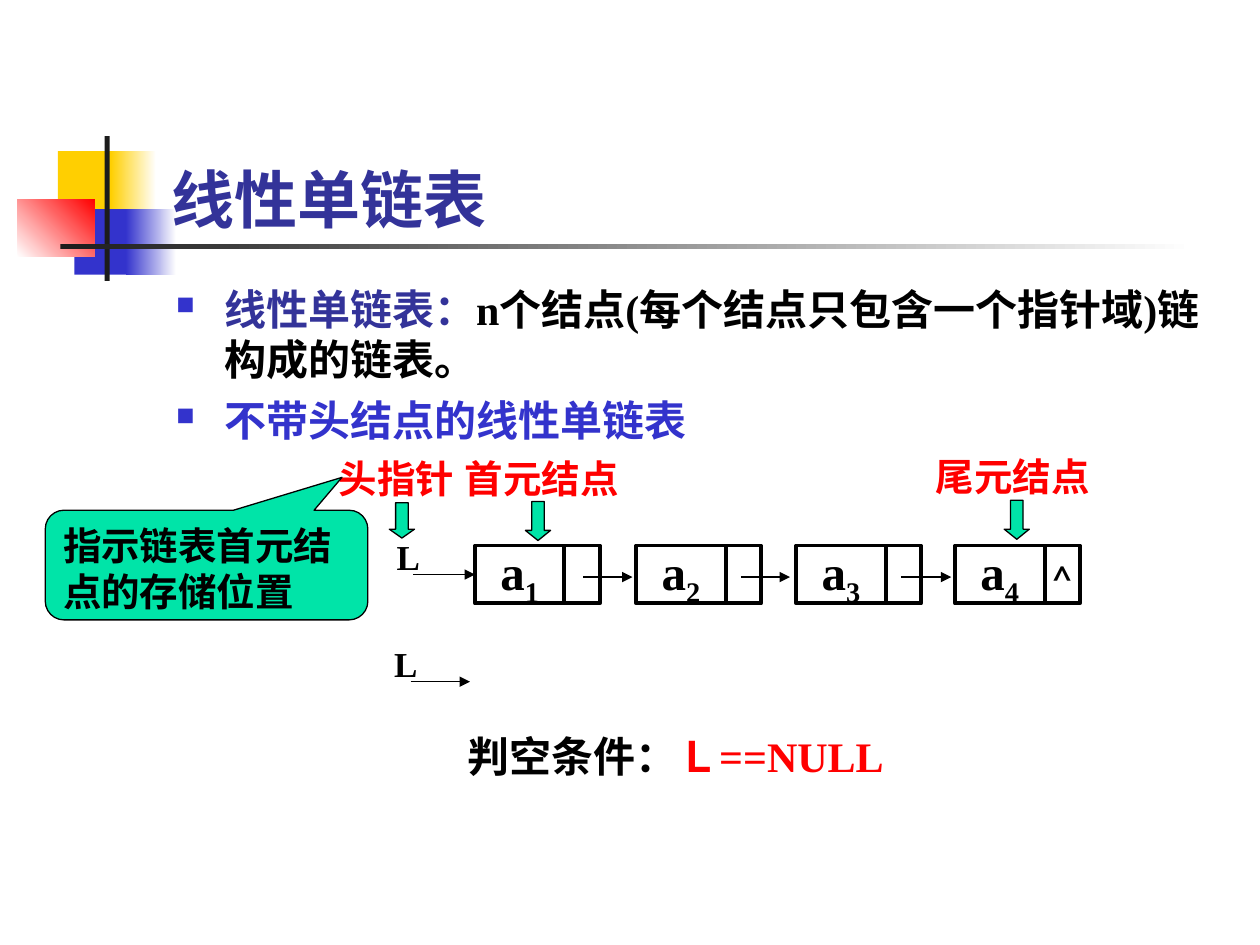
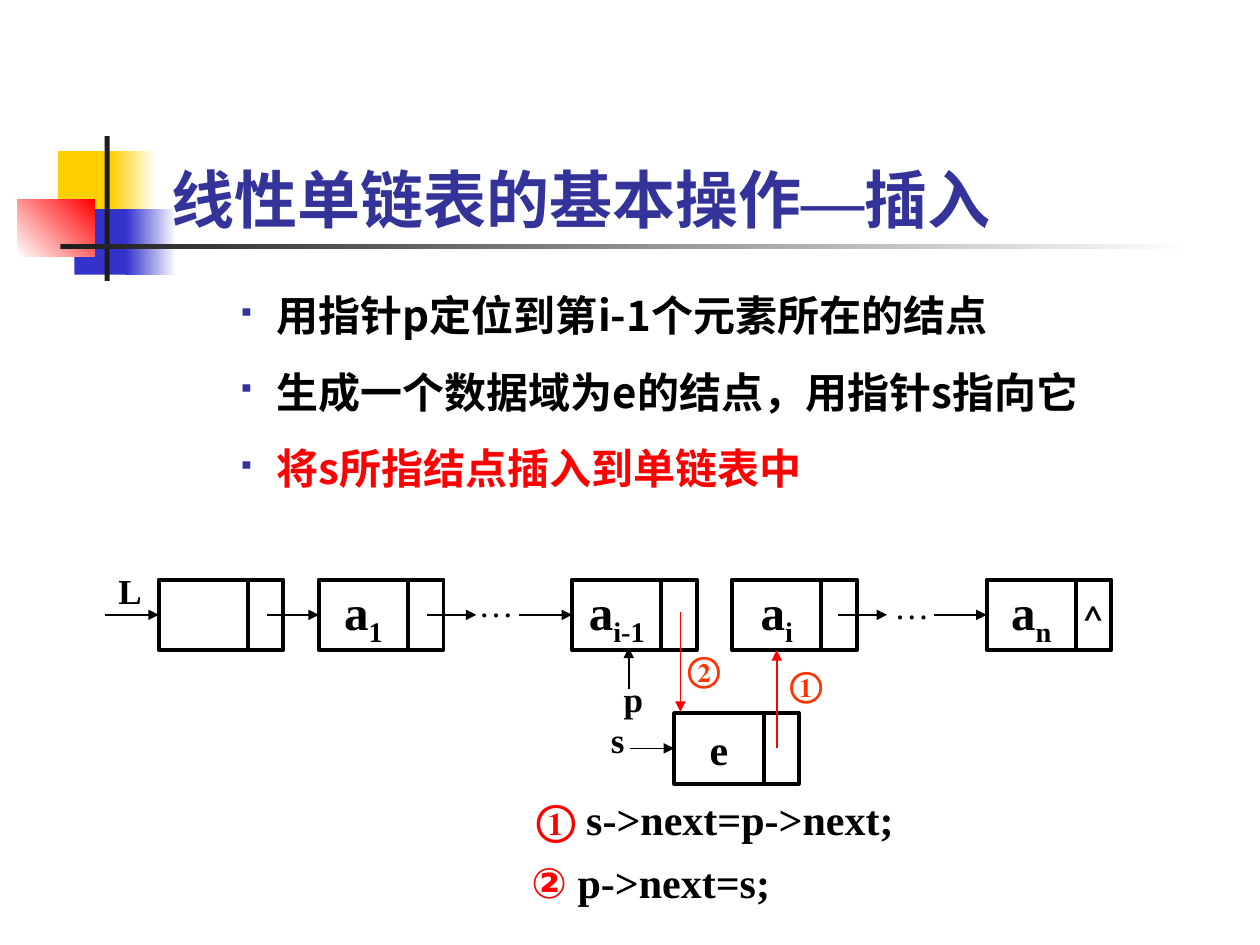
import pptx
import pptx.dml.color
import pptx.enum.shapes
import pptx.enum.text
import pptx.oxml
import pptx.oxml.ns
import pptx.util

PX = 9144  # EMU per px, 100 px to the inch
SHAPE = pptx.enum.shapes.MSO_SHAPE
ALIGN = pptx.enum.text.PP_ALIGN
ANCHOR = pptx.enum.text.MSO_ANCHOR
TOP, LEFT, BOTTOM, RIGHT = range(4)


class Theme:
    black, white, ink = "000000", "FFFFFF", "1C1C1C"
    title, blue, yellow = "333399", "3333CC", "FFCF01"
    red, orange, green = "FF0000", "FF3300", "00E4A8"
    serif, sans, cjk = "Times New Roman", "Karla", "Noto Sans CJK SC"
    title_size, node_size, body_size, label_size, small_size = 36, 28, 24, 22, 20
    thick, medium, thin = 2.25, 1, 0.75


# ---- Content ----
# Each band: box, first colour, second colour (None for plain), angle
BANDS = [
    ((46, 120, 48, 52), Theme.yellow, None, 0),
    ((88, 120, 36, 52), Theme.yellow, Theme.white, 0),
    ((59, 166, 46, 52), Theme.blue, None, 0),
    ((100, 166, 40, 52), Theme.blue, Theme.white, 0),
    ((14, 158, 61, 46), Theme.white, Theme.red, 45),
    ((83, 108, 4, 115), Theme.ink, None, 0),
    ((48, 194, 900, 4), Theme.ink, Theme.white, 0),
]
TITLE_BOX = (126, 67, 852, 125)
DATA_W, LINK_W = 71, 28

LIST_TITLE = ["线性单链表"]
LIST_BODY = [
    [("线性单链表：", {"color": Theme.title}), "n个结点(每个结点只包含一个指针域)链构成的链表。"],
    [("不带头结点的线性单链表", {"color": Theme.blue})],
]
LIST_NODES = [(377, "a", "1"), (505, "a", "2"), (632, "a", "3"), (758, "a", "4")]
LIST_ARROWS = [(463, 502), (588, 627), (715, 755)]
# Each mark: label, box, arrow box, arrow head ratio
MARKS = [
    ("头指针", (259, 356, 119, 47), (309, 399, 20, 28), 0.35),
    ("首元结点", (359, 356, 150, 47), (417, 398, 20, 31), 0.4),
    ("尾元结点", (733, 355, 150, 47), (797, 397, 20, 31), 0.4),
]
HEAD_NOTE = "指示链表首元结点的存储位置"
EMPTY_TEST = ["判空条件：", ("Ｌ==NULL", {"color": Theme.red})]

INSERT_TITLE = ["线性单链表的基本操作", ("—", {"font": Theme.serif}), "插入"]
INSERT_STEPS = [
    ["用指针p定位到第i-1个元素所在的结点"],
    ["生成一个数据域为e的结点，用指针s指向它"],
    [("将s所指结点插入到单链表中", {"color": Theme.red})],
]
INSERT_NODES = [(126, "", ""), (253, "a", "1"), (454, "a", "i-1"),
                (581, "a", "i"), (783, "a", "n")]
# Each arrow: start, end, index of the node it joins (None for an ellipsis)
INSERT_ARROWS = [(83, 125, 0), (212, 252, 1), (339, 378, None),
                 (412, 451, 2), (665, 704, None), (741, 781, 4)]
# Each label: text, box, format
INSERT_LABELS = [
    ("L", (84, 447, 38, 44), {}),
    ("…", (370, 457, 75, 44), {"bold": False}),
    ("…", (700, 459, 75, 44), {"bold": False}),
    ("p", (485, 533, 42, 44), {}),
    ("s", (475, 565, 42, 44), {}),
    ("②", (536, 509, 50, 44), {"color": Theme.orange}),
    ("①", (617, 521, 46, 44), {"color": Theme.orange}),
]
CODE_LINES = [
    ((416, 625, 383, 50), [("① ", {"color": Theme.red}), "s->next=p->next;"]),
    ((412, 675, 383, 50), [("② ", {"color": Theme.red, "font": Theme.sans}), "p->next=s;"]),
]


# ---- Helpers ----
def emu(lengths):
    return [round(v * PX) for v in lengths]


def rgb(color):
    return pptx.dml.color.RGBColor.from_string(color)


def sub(parent, tag, **attrs):
    el = pptx.oxml.parse_xml(f'<{tag} {pptx.oxml.ns.nsdecls("a")}/>')
    for name, value in attrs.items():
        el.set(name, str(value))
    parent.append(el)
    return el


def add_run(p, text, size, color=Theme.black, font=Theme.serif, east_asian=None,
            bold=True, base=0):
    r = p.add_run()
    r.text = text
    r.font.size = pptx.util.Pt(size)
    r.font.bold = bold
    r.font.color.rgb = rgb(color)
    r.font.name = font
    r_pr = r._r.get_or_add_rPr()
    sub(r_pr, "a:ea", typeface=east_asian or font)
    if base:
        r_pr.set("baseline", str(base * 1000))


def write(tf, paragraphs, size=Theme.body_size, align=ALIGN.LEFT, anchor=ANCHOR.TOP,
          wrap=True, gap=0, bullet=None, **fmt):
    """Fill a text frame; a run is a string or (string, format overrides)."""
    tf.word_wrap = wrap
    tf.vertical_anchor = anchor
    for i, runs in enumerate(paragraphs):
        p = tf.paragraphs[0] if i == 0 else tf.add_paragraph()
        p.alignment = align
        if i:
            p.space_before = pptx.util.Pt(gap)
        if bullet:
            char, color, percent, margin, hang = bullet
            p_pr = p._p.get_or_add_pPr()
            p_pr.set("marL", str(margin * PX))
            p_pr.set("indent", str(-hang * PX))
            sub(sub(p_pr, "a:buClr"), "a:srgbClr", val=color)
            sub(p_pr, "a:buSzPct", val=percent * 1000)
            sub(p_pr, "a:buChar", char=char)
        for run in runs:
            text, extra = (run, {}) if isinstance(run, str) else run
            add_run(p, text, **{"size": size, **fmt, **extra})


def add_text(slide, box, paragraphs, **fmt):
    write(slide.shapes.add_textbox(*emu(box)).text_frame, paragraphs, **fmt)


def add_shape(slide, kind, box, fill=None, line=None, width=Theme.thin):
    sp = slide.shapes.add_shape(kind, *emu(box))
    sp.shadow.inherit = False
    if fill:
        sp.fill.solid()
        sp.fill.fore_color.rgb = rgb(fill)
    else:
        sp.fill.background()
    if line:
        sp.line.color.rgb = rgb(line)
        sp.line.width = pptx.util.Pt(width)
    else:
        sp.line.fill.background()
    return sp


def add_arrow(slide, start, end, color=Theme.black, width=Theme.thin, join=None):
    """Draw an arrow; join is (shape, side) when it ends on a side's middle."""
    line = slide.shapes.add_connector(
        pptx.enum.shapes.MSO_CONNECTOR.STRAIGHT, *emu(start + end))
    line.line.color.rgb = rgb(color)
    line.line.width = pptx.util.Pt(width)
    sub(line.line._get_or_add_ln(), "a:tailEnd", type="triangle")
    sub(line._element.spPr, "a:effectLst")
    if join:
        line.end_connect(*join)


def add_node(slide, x, y, h, name, index="", size=Theme.node_size, last=False):
    """Draw a data cell and a pointer cell; return the data cell."""
    data, link = [add_shape(slide, SHAPE.RECTANGLE, (left, y, w, h), None, Theme.black, Theme.thick)
                  for left, w in ((x, DATA_W), (x + DATA_W, LINK_W))]
    middle = {"align": ALIGN.CENTER, "anchor": ANCHOR.MIDDLE, "wrap": False}
    if name:
        runs = [name] + ([(index, {"base": -25})] if index else [])
        write(data.text_frame, [runs], size=size, **middle)
    if last:
        write(link.text_frame, [["^"]], font=Theme.sans, bold=False, **middle)
    return data


def add_chain(slide, nodes, y, h):
    return [add_node(slide, x, y, h, name, index, last=(x, name, index) == nodes[-1])
            for x, name, index in nodes]


def new_slide(prs, title):
    slide = prs.slides.add_slide(prs.slide_layouts[6])
    for box, first, second, angle in BANDS:
        sp = add_shape(slide, SHAPE.RECTANGLE, box, first)
        if second:
            sp.fill.gradient()
            sp.fill.gradient_angle = angle
            for stop, color in zip(sp.fill.gradient_stops, (first, second)):
                stop.color.rgb = rgb(color)
    add_text(slide, TITLE_BOX, [title], size=Theme.title_size, color=Theme.title,
             font=Theme.sans, anchor=ANCHOR.BOTTOM)
    return slide


# ---- Slides ----
def build_list_slide(prs):
    slide = new_slide(prs, LIST_TITLE)
    add_text(slide, (130, 220, 842, 450), LIST_BODY, gap=6, east_asian=Theme.cjk,
             bullet=("■", Theme.blue, 60, 38, 38))

    # Chain of nodes
    top, height = 433, 46
    cells = add_chain(slide, LIST_NODES, top, height)
    for x1, x2 in LIST_ARROWS:
        add_arrow(slide, (x1, 458), (x2, 458))

    # Head pointers: one to the chain, one to nothing
    for x, y, join in ((328, top + height // 2, (cells[0], LEFT)), (326, 541, None)):
        add_arrow(slide, (x, y), (x + 47, y), join=join)
        add_text(slide, (x - 23, y - 36, 38, 44), [["L"]], size=Theme.small_size)

    # Marks above the chain
    for label, box, arrow_box, head in MARKS:
        add_text(slide, box, [[label]], size=Theme.label_size, color=Theme.red, font=Theme.sans)
        arrow = add_shape(slide, SHAPE.DOWN_ARROW, arrow_box, Theme.green, Theme.black)
        arrow.adjustments[1] = head

    # Callout and empty test
    note = add_shape(slide, SHAPE.ROUNDED_RECTANGULAR_CALLOUT, (36, 405, 256, 87),
                     Theme.green, Theme.black)
    for i, value in enumerate((0.42, -0.8, 0.17)):
        note.adjustments[i] = value
    write(note.text_frame, [[HEAD_NOTE]], size=Theme.label_size, east_asian=Theme.cjk)
    add_text(slide, (361, 575, 430, 50), [EMPTY_TEST], east_asian=Theme.cjk)


def build_insert_slide(prs):
    slide = new_slide(prs, INSERT_TITLE)
    add_text(slide, (129, 225, 850, 450), INSERT_STEPS, gap=15, font=Theme.cjk,
             bullet=("▪", Theme.title, 55, 81, 31))

    # Chain of nodes and the new node
    top, height, new_top = 460, 56, 566
    middle, new_middle = top + height // 2, new_top + height // 2
    cells = add_chain(slide, INSERT_NODES, top, height)
    new_cell = add_node(slide, 535, new_top, height, "e", size=Theme.body_size)
    for x1, x2, target in INSERT_ARROWS:
        join = None if target is None else (cells[target], LEFT)
        add_arrow(slide, (x1, middle), (x2, middle), join=join)

    # Pointers p and s, then the two new links
    add_arrow(slide, (499, 547), (499, 514), width=Theme.medium)
    add_arrow(slide, (500, new_middle), (533, new_middle), join=(new_cell, LEFT))
    add_arrow(slide, (540, 486), (540, 565), Theme.red, Theme.medium)
    add_arrow(slide, (616.5, 594), (616.5, 516), Theme.red, Theme.medium, (cells[3], BOTTOM))

    # Labels and code
    for text, box, fmt in INSERT_LABELS:
        add_text(slide, box, [[text]], size=Theme.small_size, **fmt)
    for box, runs in CODE_LINES:
        add_text(slide, box, [runs])


def main():
    prs = pptx.Presentation()
    prs.slide_width, prs.slide_height = emu((1000, 750))
    build_list_slide(prs)
    build_insert_slide(prs)
    prs.save("out.pptx")


if __name__ == "__main__":
    main()
